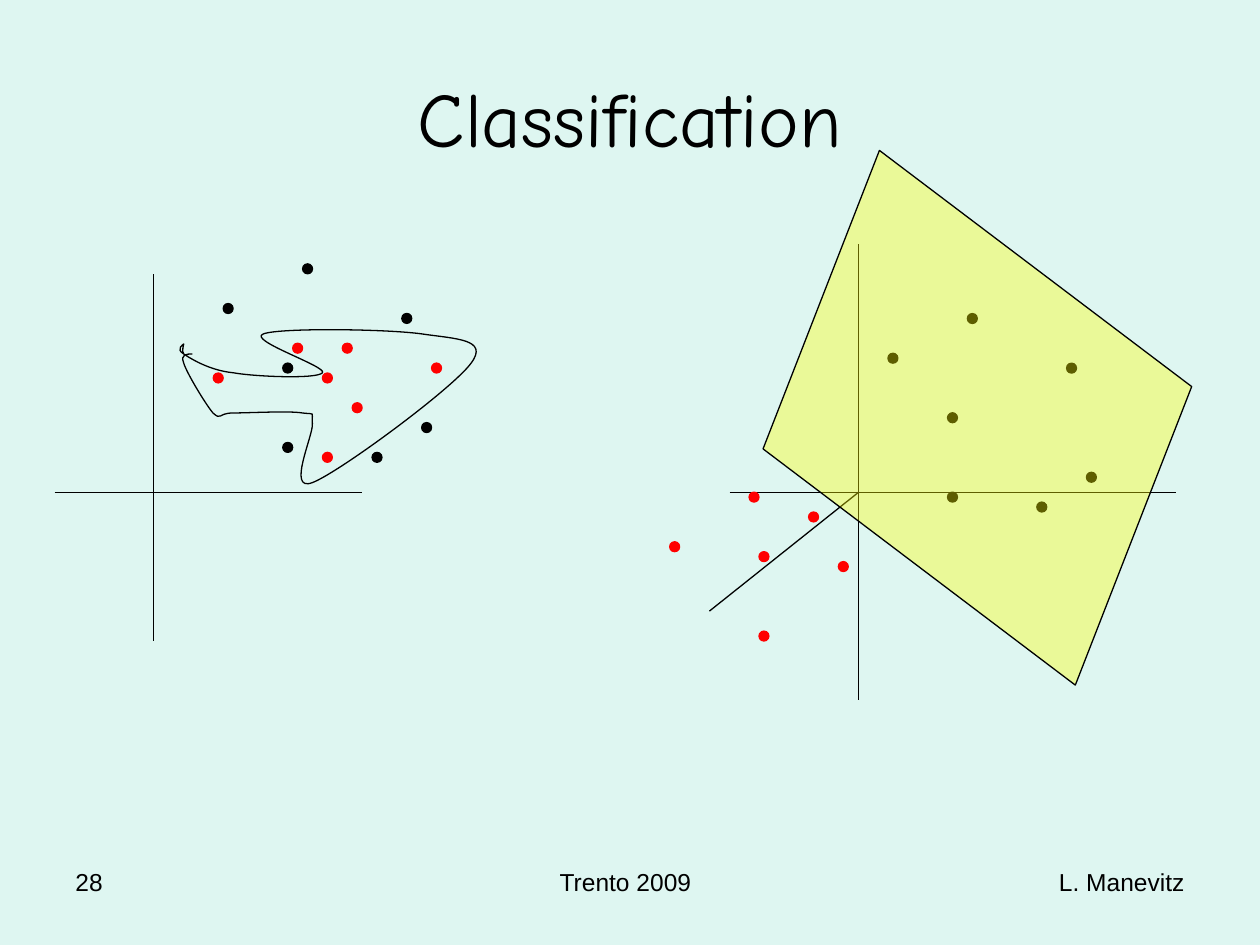
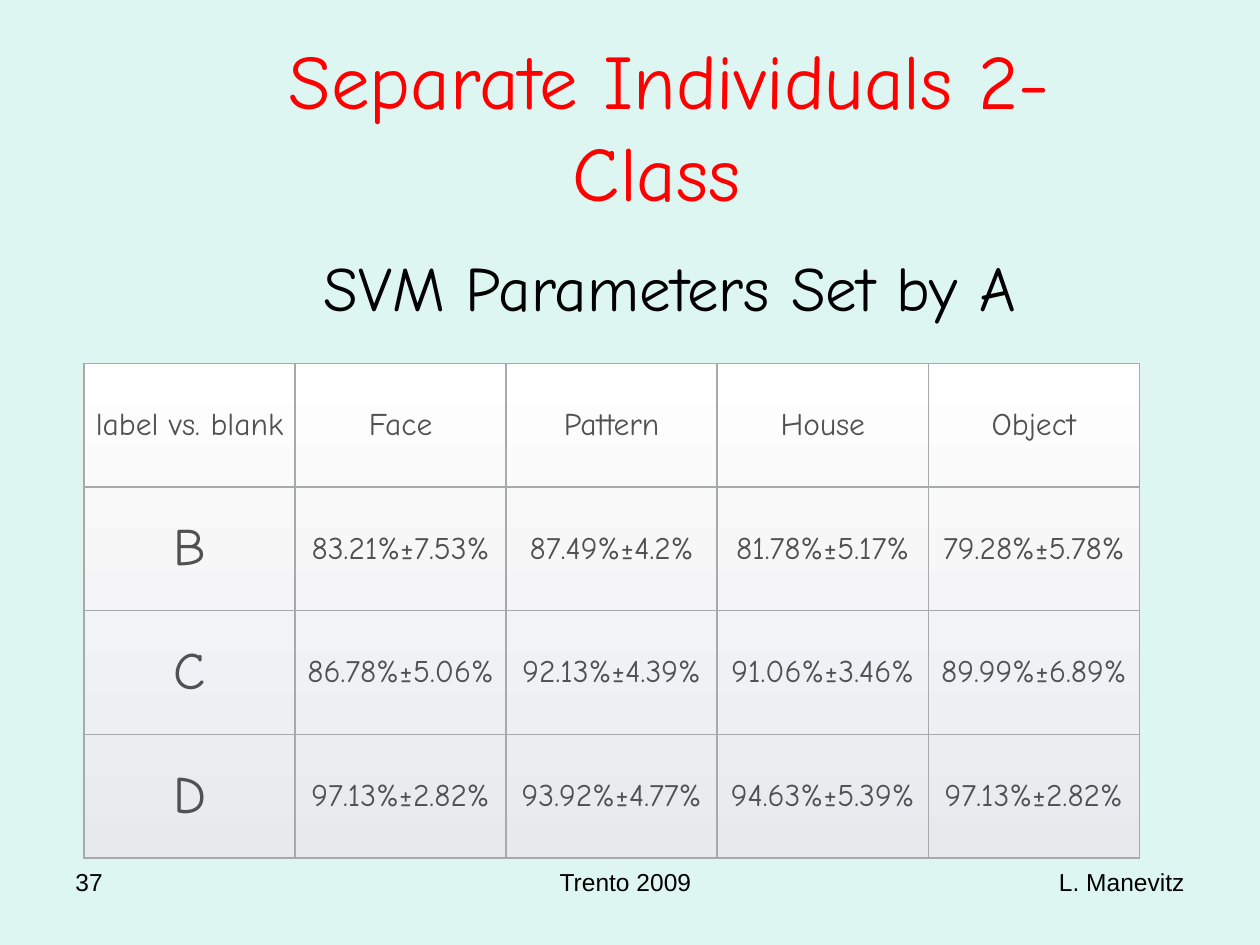
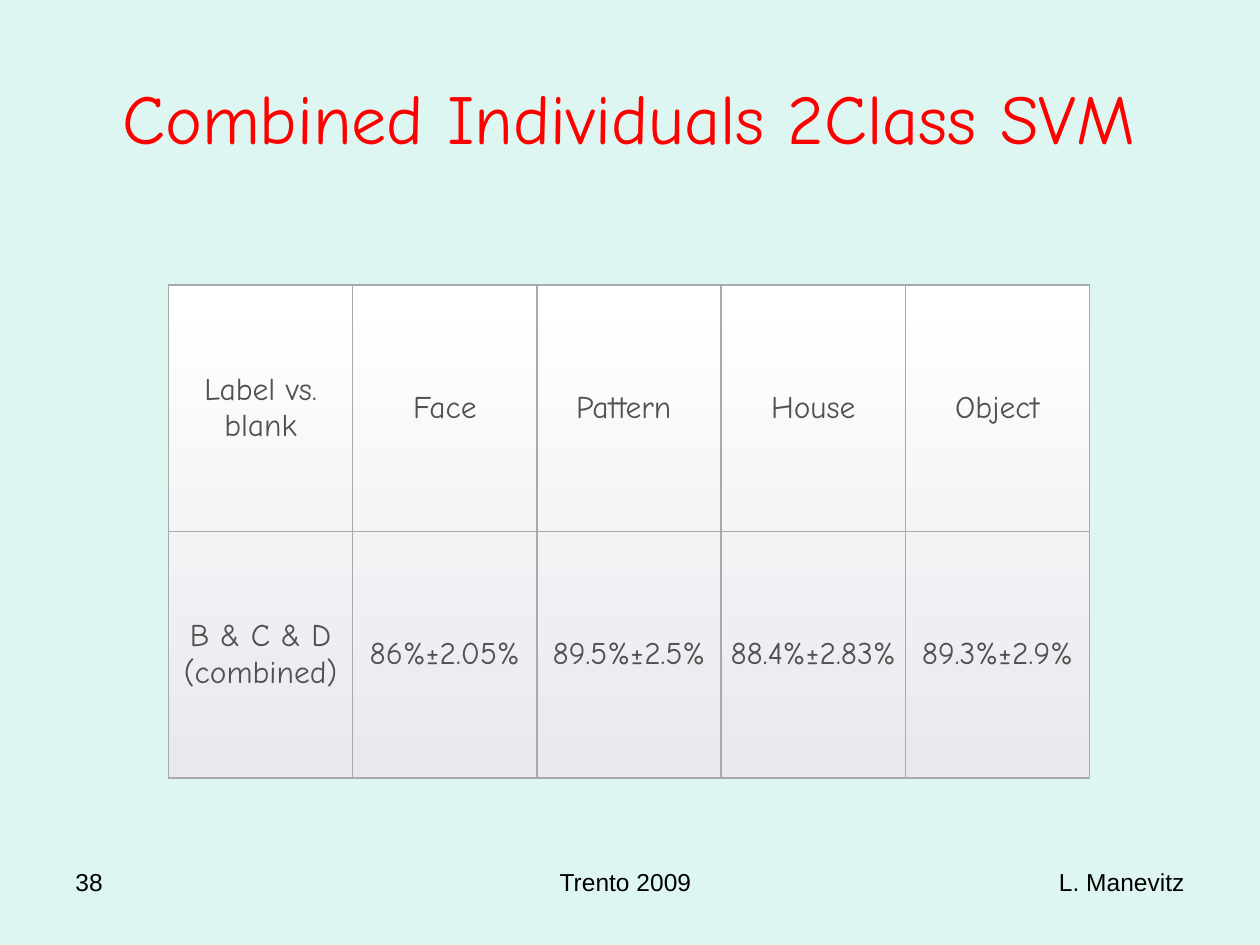
from itertools import chain

from lxml import etree
from pptx import Presentation
from pptx.dml.color import RGBColor
from pptx.enum import shapes, text
from pptx.oxml import ns
from pptx.util import Pt

BACKGROUND, BLACK, RED, YELLOW = "DEF6F1", "000000", "FF0000", "FFFF00"
TABLE_INK, TABLE_RULE = "515151", "A7AAAB"
TABLE_TOP, TABLE_BOTTOM = "FFFFFF", "E8E9ED"
HAND, PLAIN = "Comic Neue", "Arial"
LEFT, CENTER, RIGHT = text.PP_ALIGN.LEFT, text.PP_ALIGN.CENTER, text.PP_ALIGN.RIGHT
MIDDLE, TOP = text.MSO_ANCHOR.MIDDLE, text.MSO_ANCHOR.TOP
INSETS = (7.2, 3.6, 7.2, 3.6)  # left, top, right, bottom
THIN = 0.75
DOT = 5.67  # dot diameter, also the step of the grid the dots sit on
BLANK_LAYOUT = 6

# Dots as (column, row) on the grid
OUTER_DOTS = [(1, 4), (9, 0), (7, 10), (7, 18), (16, 19), (19, 5), (21, 16)]
INNER_DOTS = [(0, 11), (13, 8), (11, 19), (8, 8), (11, 11), (14, 14), (22, 10)]
ABOVE_PLANE_DOTS = [(22, 4), (30, 0), (28, 10), (28, 18), (37, 19), (40, 5), (42, 16)]
BELOW_PLANE_DOTS = [(0, 23), (14, 20), (9, 32), (8, 18), (9, 24), (17, 25)]

# Each row holds two control points and an end point
BOUNDARY_START = (110, 202.3)
BOUNDARY = [
    ((106.6, 202.3), (103, 202.3), (105, 207.5)),
    ((106.6, 213), (117.5, 231), (121.7, 236)),
    ((126.7, 240.5), (124.5, 236), (133.2, 236)),
    ((142, 236), (165.6, 234.7), (172.8, 236)),
    ((180.7, 237), (178, 234.7), (178.5, 242)),
    ((179.3, 248.4), (163.5, 281.5), (178.5, 275.8)),
    ((193.7, 270), (259, 221.8), (269.3, 207.4)),
    ((279.4, 193.7), (260.6, 193.7), (241, 190.8)),
    ((221, 188), (160, 187.2), (150.5, 190.8)),
    ((141, 194.4), (187.2, 209.5), (184.3, 213)),
    ((181.4, 216.7), (146, 215.3), (133.2, 213)),
    ((120, 211.7), (109.4, 205.2), (105, 202.3)),
    ((100, 199.4), (105, 196.6), (105, 196.6)),
    ((105, 196.6), (103.7, 201), (105, 202.3)),
]

SEPARATE_RESULTS = [
    ["label vs. blank", "Face", "Pattern", "House", "Object"],
    ["B", "83.21%±7.53%", "87.49%±4.2%", "81.78%±5.17%", "79.28%±5.78%"],
    ["C", "86.78%±5.06%", "92.13%±4.39%", "91.06%±3.46%", "89.99%±6.89%"],
    ["D", "97.13%±2.82%", "93.92%±4.77%", "94.63%±5.39%", "97.13%±2.82%"],
]
COMBINED_RESULTS = [
    ["Label vs. blank", "Face", "Pattern ", "House", "Object"],
    ["B & C & D (combined)", "86%±2.05%", "89.5%±2.5%", "88.4%±2.83%", "89.3%±2.9%"],
]


def rgb(color):
    return RGBColor.from_string(color)


def write(paragraph, words, size=14, font=PLAIN, color=BLACK, align=LEFT, before=0):
    paragraph.alignment = align
    paragraph.space_before = Pt(before)
    run = paragraph.add_run()
    run.text = words
    run.font.size, run.font.name = Pt(size), font
    run.font.color.rgb = rgb(color)


def set_insets(holder, insets):
    (holder.margin_left, holder.margin_top,
     holder.margin_right, holder.margin_bottom) = map(Pt, insets)


def add_frame(slide, left, top, width, height, anchor=TOP, insets=INSETS):
    frame = slide.shapes.add_textbox(Pt(left), Pt(top), Pt(width), Pt(height)).text_frame
    frame.word_wrap = True
    frame.vertical_anchor = anchor
    set_insets(frame, insets)
    return frame


def add_title(slide, words, insets=INSETS, **style):
    title = add_frame(slide, 36, 21.6, 648, 90, anchor=MIDDLE, insets=insets)
    write(title.paragraphs[0], words, font=HAND, align=CENTER, **style)


def add_page(deck, number):
    """Add a slide with the shared background and footer."""
    slide = deck.slides.add_slide(deck.slide_layouts[BLANK_LAYOUT])
    slide.background.fill.solid()
    slide.background.fill.fore_color.rgb = rgb(BACKGROUND)
    for words, left, width, align in [("L. Manevitz", 516, 168, RIGHT),
                                      ("Trento 2009", 240.8, 233.2, CENTER),
                                      (str(number), 36, 168, LEFT)]:
        footer = add_frame(slide, left, 492, width, 37.5)
        write(footer.paragraphs[0], words, align=align)
    return slide


def outline(element, color=BLACK):
    element.line.color.rgb = rgb(color)
    element.line.width = Pt(THIN)


def add_axis(slide, x1, y1, x2, y2):
    axis = slide.shapes.add_connector(
        shapes.MSO_CONNECTOR.STRAIGHT, Pt(x1), Pt(y1), Pt(x2), Pt(y2))
    outline(axis)
    etree.SubElement(axis._element.spPr, ns.qn("a:effectLst"))


def add_dots(slide, left, top, places, color):
    """Draw dots at grid places counted from left, top."""
    for column, row in places:
        dot = slide.shapes.add_shape(
            shapes.MSO_SHAPE.OVAL, Pt(left + column * DOT), Pt(top + row * DOT),
            Pt(DOT), Pt(DOT))
        dot.shadow.inherit = False
        dot.fill.solid()
        dot.fill.fore_color.rgb = rgb(color)
        outline(dot, color)


def bend_segments(outline_shape):
    """Turn each three straight segments of a freeform into one cubic curve."""
    lines = list(outline_shape._element.spPr.iter(ns.qn("a:lnTo")))
    for first in range(0, len(lines), 3):
        curve = etree.Element(ns.qn("a:cubicBezTo"))
        lines[first].addprevious(curve)
        for line in lines[first:first + 3]:
            curve.append(line[0])
            line.getparent().remove(line)


def add_boundary(slide):
    fine = 100  # freeform units in a point
    start, *points = [(x * fine, y * fine)
                      for x, y in chain([BOUNDARY_START], *BOUNDARY)]
    builder = slide.shapes.build_freeform(*start, scale=Pt(1) / fine)
    builder.add_line_segments(points, close=False)
    boundary = builder.convert_to_shape()
    bend_segments(boundary)
    boundary.shadow.inherit = False
    boundary.fill.background()
    outline(boundary)


def add_plane(slide):
    plane = slide.shapes.add_shape(
        shapes.MSO_SHAPE.PARALLELOGRAM, Pt(436.5), Pt(131.1), Pt(244), Pt(215.3))
    plane.adjustments[0] = 0.283
    plane.rotation = 111.3
    plane.shadow.inherit = False
    plane.fill.solid()
    plane.fill.fore_color.rgb = rgb(YELLOW)
    color = plane._element.spPr.find(ns.qn("a:solidFill"))[0]
    etree.SubElement(color, ns.qn("a:alpha"), val="37000")
    outline(plane)


def add_gradient_panel(slide, box):
    panel = slide.shapes.add_shape(shapes.MSO_SHAPE.RECTANGLE, *box)
    panel.shadow.inherit = False
    panel.line.fill.background()
    panel.fill.gradient()
    panel.fill.gradient_angle = 270
    for stop, position, color in zip(panel.fill.gradient_stops, (0, 1),
                                     (TABLE_TOP, TABLE_BOTTOM)):
        stop.position = position
        stop.color.rgb = rgb(color)


def add_borders(cell):
    properties = cell._tc.get_or_add_tcPr()
    for index, side in enumerate(("a:lnL", "a:lnR", "a:lnT", "a:lnB")):
        border = etree.Element(ns.qn(side), w=str(Pt(1)))
        fill = etree.SubElement(border, ns.qn("a:solidFill"))
        etree.SubElement(fill, ns.qn("a:srgbClr"), val=TABLE_RULE)
        properties.insert(index, border)


def add_results(slide, left, top, width, height, results):
    """Draw a ruled table of results over a gradient panel."""
    box = Pt(left), Pt(top), Pt(width), Pt(height)
    add_gradient_panel(slide, box)
    table = slide.shapes.add_table(len(results), len(results[0]), *box).table
    table.first_row = table.horz_banding = False
    for row, values in enumerate(results):
        for column, value in enumerate(values):
            cell = table.cell(row, column)
            cell.fill.background()
            cell.vertical_anchor = MIDDLE
            set_insets(cell, (3, 3, 3, 3))
            write(cell.text_frame.paragraphs[0], value, size=30 if len(value) == 1 else 18,
                  font=HAND, color=TABLE_INK, align=CENTER)
            add_borders(cell)


def build_classification(deck):
    slide = add_page(deck, 28)
    add_axis(slide, 87.9, 156.8, 87.9, 366.3)
    add_axis(slide, 31.2, 281.4, 206.9, 281.4)
    add_dots(slide, 121.9, 150.8, OUTER_DOTS, BLACK)
    add_dots(slide, 121.9, 150.8, INNER_DOTS, RED)
    add_axis(slide, 490.5, 139.7, 490.5, 400.3)
    add_axis(slide, 416.9, 281.4, 672, 281.4)
    add_axis(slide, 490.5, 281.4, 405.4, 349.2)
    add_dots(slide, 382.7, 179.2, ABOVE_PLANE_DOTS, BLACK)
    add_dots(slide, 382.7, 179.2, BELOW_PLANE_DOTS, RED)
    add_boundary(slide)
    add_plane(slide)
    add_title(slide, "Classification", size=44)


def build_separate(deck):
    slide = add_page(deck, 37)
    add_results(slide, 48, 207.6, 603.2, 282.8, SEPARATE_RESULTS)
    heading = add_frame(slide, 133.2, 15.1, 499, 178)
    write(heading.paragraphs[0], "Separate Individuals 2-Class ", size=44, font=HAND,
          color=RED, align=CENTER)
    write(heading.add_paragraph(), "SVM Parameters Set by A", size=36, font=HAND,
          align=CENTER, before=18)


def build_combined(deck):
    slide = add_page(deck, 38)
    add_title(slide, "Combined Individuals 2Class SVM", insets=(10, 0, 11.5, 0),
              size=40, color=RED)
    add_results(slide, 96.3, 162.8, 526.3, 281.8, COMBINED_RESULTS)


def main():
    deck = Presentation()
    deck.slide_width, deck.slide_height = Pt(720), Pt(540)
    build_classification(deck)
    build_separate(deck)
    build_combined(deck)
    deck.save("out.pptx")


if __name__ == "__main__":
    main()
